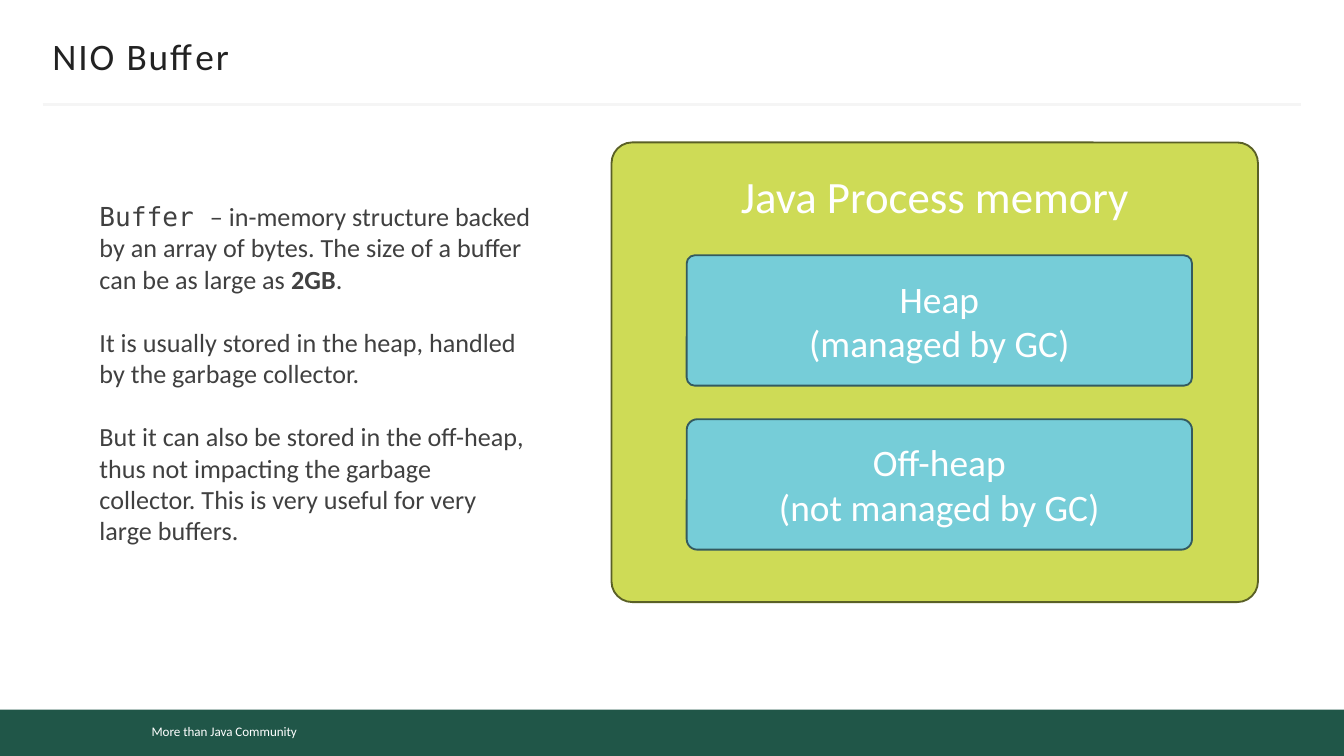
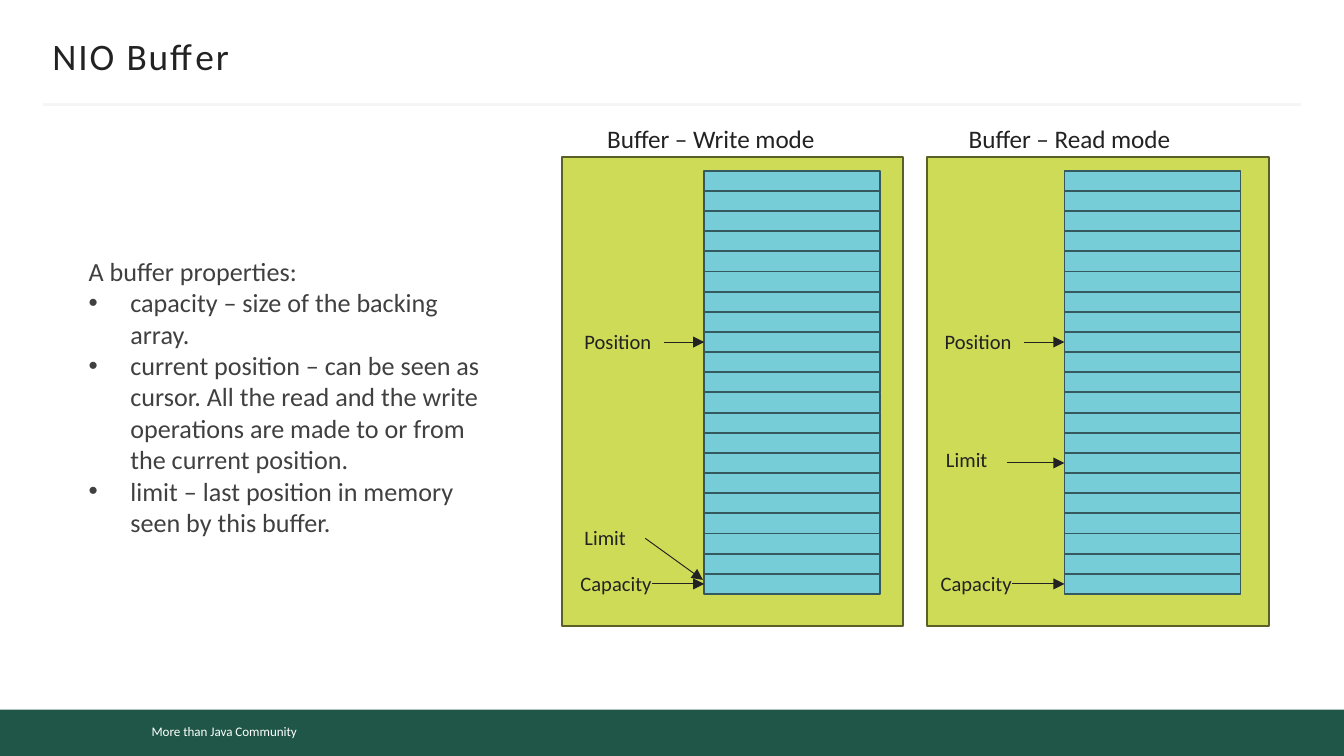
"""Build two slides that explain the NIO Buffer."""
from lxml.etree import SubElement
from pptx import Presentation
from pptx.dml.color import RGBColor
from pptx.enum.shapes import MSO_CONNECTOR, MSO_SHAPE
from pptx.enum.text import MSO_ANCHOR, MSO_AUTO_SIZE, PP_ALIGN
from pptx.oxml.ns import qn
from pptx.util import Inches, Pt

WHITE = RGBColor(0xFF, 0xFF, 0xFF)
INK = RGBColor(0x22, 0x22, 0x22)
GREY = RGBColor(0x40, 0x40, 0x40)
RULE = RGBColor(0xF5, 0xF5, 0xF5)
GREEN = RGBColor(0x20, 0x56, 0x48)
LIME, LIME_EDGE = RGBColor(0xCE, 0xDB, 0x56), RGBColor(0x5A, 0x60, 0x26)
AQUA, AQUA_EDGE = RGBColor(0x76, 0xCD, 0xD8), RGBColor(0x34, 0x5A, 0x5F)
SANS, MONO = "Calibri", "DejaVu Sans Mono"
W, H = 10, 5.625

TITLE = "NIO Buffer"
FOOTER = "More than Java Community"
ABOUT = [
    [("Buffer ", MONO, False),
     ("– in-memory structure backed by an array of bytes. "
      "The size of a buffer can be as large as ", SANS, False),
     ("2GB", SANS, True), (".", SANS, False)],
    [("It is usually stored in the heap, handled by the garbage collector.", SANS, False)],
    [("But it can also be stored in the off-heap, thus not impacting the garbage "
      "collector. This is very useful for very large buffers.", SANS, False)],
]
MEMORY = "Java Process memory"
AREAS = [("Heap\n(managed by GC)", 0.062), ("Off-heap\n(not managed by GC)", 0.081)]
INTRO = "A buffer properties:"
PROPERTIES = [
    "capacity – size of the backing array.",
    "current position – can be seen as cursor. All the read and the write "
    "operations are made to or from the current position.",
    "limit – last position in memory seen by this buffer.",
]
CELLS, CELL_W, CELL_H, STACK_TOP = 21, 1.31, 0.15, 1.27
POSITION = ("Position", -0.99, 2.4, 0.82, -0.3, 8, 0)
CAPACITY = ("Capacity", -1.02, 4.2, 0.79, -0.39, 20, 0)
MODES = [
    ("Buffer – Write mode", 4.42, 4.18, 5.24,
     [("Limit", -0.99, 3.86, 0.55, -0.44, 20, 0.31), CAPACITY, POSITION]),
    ("Buffer – Read mode", 7.11, 6.9, 7.92,
     [("Limit", -0.98, 3.28, 0.55, -0.43, 14, 0), CAPACITY, POSITION]),
]


def box(s, kind, at, fill, edge=None, radius=None):
    sp = s.shapes.add_shape(kind, *map(Inches, at))
    sp.shadow.inherit = False
    sp.fill.solid()
    sp.fill.fore_color.rgb = fill
    if edge is None:
        sp.line.fill.background()
    else:
        sp.line.color.rgb = edge
        sp.line.width = Pt(1)
    if radius is not None:
        sp.adjustments[0] = radius
    return sp


def style(tf, size, color, align=PP_ALIGN.LEFT):
    tf.word_wrap = True
    for p in tf.paragraphs:
        p.alignment = align
        for r in p.runs:
            r.font.size = Pt(size)
            r.font.color.rgb = color
            r.font.name = r.font.name or SANS


def label(s, text, at, size):
    tf = s.shapes.add_textbox(*map(Inches, at)).text_frame
    tf.text = text
    style(tf, size, INK)


def line(s, start, end, color, width):
    cx = s.shapes.add_connector(MSO_CONNECTOR.STRAIGHT, *map(Inches, start + end))
    cx.line.color.rgb = color
    cx.line.width = Pt(width)
    SubElement(cx.element.spPr, qn("a:effectLst"))
    return cx


def arrow(s, start, end):
    cx = line(s, start, end, INK, 0.5)
    SubElement(cx.element.spPr.find(qn("a:ln")), qn("a:tailEnd"), type="triangle")
    return cx


def place(sp, at):
    sp.left, sp.top, sp.width, sp.height = map(Inches, at)
    tf = sp.text_frame
    tf.auto_size = MSO_AUTO_SIZE.NONE
    return tf


def set_bullet(p, char=None):
    pPr = p._p.get_or_add_pPr()
    pPr.set("marL", str(Inches(0.31) if char else 0))
    pPr.set("indent", str(Inches(-0.31) if char else 0))
    if char:
        SubElement(pPr, qn("a:buChar"), char=char)
    else:
        SubElement(pPr, qn("a:buNone"))


def new_slide(prs, layout):
    s = prs.slides.add_slide(layout)
    tf = place(s.shapes.title, (0.39, 0.25, 9.22, 0.33))
    tf.text = TITLE
    tf.vertical_anchor = MSO_ANCHOR.MIDDLE
    tf.margin_left = tf.margin_right = 0
    style(tf, 20, INK)
    tf.paragraphs[0].runs[0].font._element.set("spc", "100")
    return s


def write_body(s, at, paragraphs, gap=0, bullets_from=None):
    tf = place(s.placeholders[1], at)
    tf.vertical_anchor = MSO_ANCHOR.TOP
    for i, runs in enumerate(paragraphs):
        p = tf.paragraphs[0] if i == 0 else tf.add_paragraph()
        set_bullet(p, "•" if bullets_from is not None and i >= bullets_from else None)
        p.space_before = Pt(gap if i else 0)
        for text, font, bold in runs:
            r = p.add_run()
            r.text, r.font.name, r.font.bold = text, font, bold
    style(tf, 14, GREY)


def add_frame(s, layout):
    band = box(s, MSO_SHAPE.RECTANGLE, (0, H - 0.345, W, 0.345), GREEN)
    footer = box(s, MSO_SHAPE.RECTANGLE, (1.03, 5.33, 2.65, 0.22), GREEN)
    footer.text_frame.text = FOOTER
    style(footer.text_frame, 7, WHITE)
    rule = line(s, (0.32, 0.78), (W - 0.32, 0.78), RULE, 1.5)
    for part in (band, footer, rule):
        layout.shapes.element.append(part.element)


def memory_slide(s):
    write_body(s, (0.64, 1.44, 3.42, 2.46), ABOUT, gap=17)
    panel = box(s, MSO_SHAPE.ROUNDED_RECTANGLE, (4.55, 1.06, 4.81, 3.42),
                LIME, LIME_EDGE, 0.045)
    tf = panel.text_frame
    tf.text = MEMORY
    tf.vertical_anchor = MSO_ANCHOR.TOP
    tf.margin_top = Inches(0.15)
    style(tf, 24, WHITE, PP_ALIGN.CENTER)
    for i, (text, radius) in enumerate(AREAS):
        area = box(s, MSO_SHAPE.ROUNDED_RECTANGLE, (5.11, 1.9 + 1.22 * i, 3.76, 0.97),
                   AQUA, AQUA_EDGE, radius)
        area.text_frame.text = text
        style(area.text_frame, 20, WHITE, PP_ALIGN.CENTER)


def modes_slide(s):
    paragraphs = [[(text, SANS, False)] for text in [INTRO] + PROPERTIES]
    write_body(s, (0.56, 1.85, 3.25, 1.99), paragraphs, bullets_from=1)
    for heading, heading_x, panel_x, stack_x, pointers in MODES:
        box(s, MSO_SHAPE.RECTANGLE, (panel_x, 1.17, 2.54, 3.49), LIME, LIME_EDGE)
        cells = [box(s, MSO_SHAPE.RECTANGLE,
                     (stack_x, STACK_TOP + i * CELL_H, CELL_W, CELL_H), AQUA, AQUA_EDGE)
                 for i in range(CELLS)]
        for name, dx, top, width, start_dx, cell, rise in pointers:
            label(s, name, (stack_x + dx, top, width, 0.29), 11)
            tip = STACK_TOP + (cell + 0.5) * CELL_H - (0.03 if rise else 0)
            cx = arrow(s, (stack_x + start_dx, tip - rise), (stack_x - 0.01, tip))
            if not rise:
                cx.end_connect(cells[cell], 1)
        label(s, heading, (heading_x, 0.87, 2.06, 0.33), 13.5)


def main():
    prs = Presentation()
    prs.slide_width, prs.slide_height = Inches(W), Inches(H)
    layout = prs.slide_layouts[1]
    first, second = new_slide(prs, layout), new_slide(prs, layout)
    add_frame(first, layout)
    memory_slide(first)
    modes_slide(second)
    prs.save("out.pptx")


if __name__ == "__main__":
    main()
